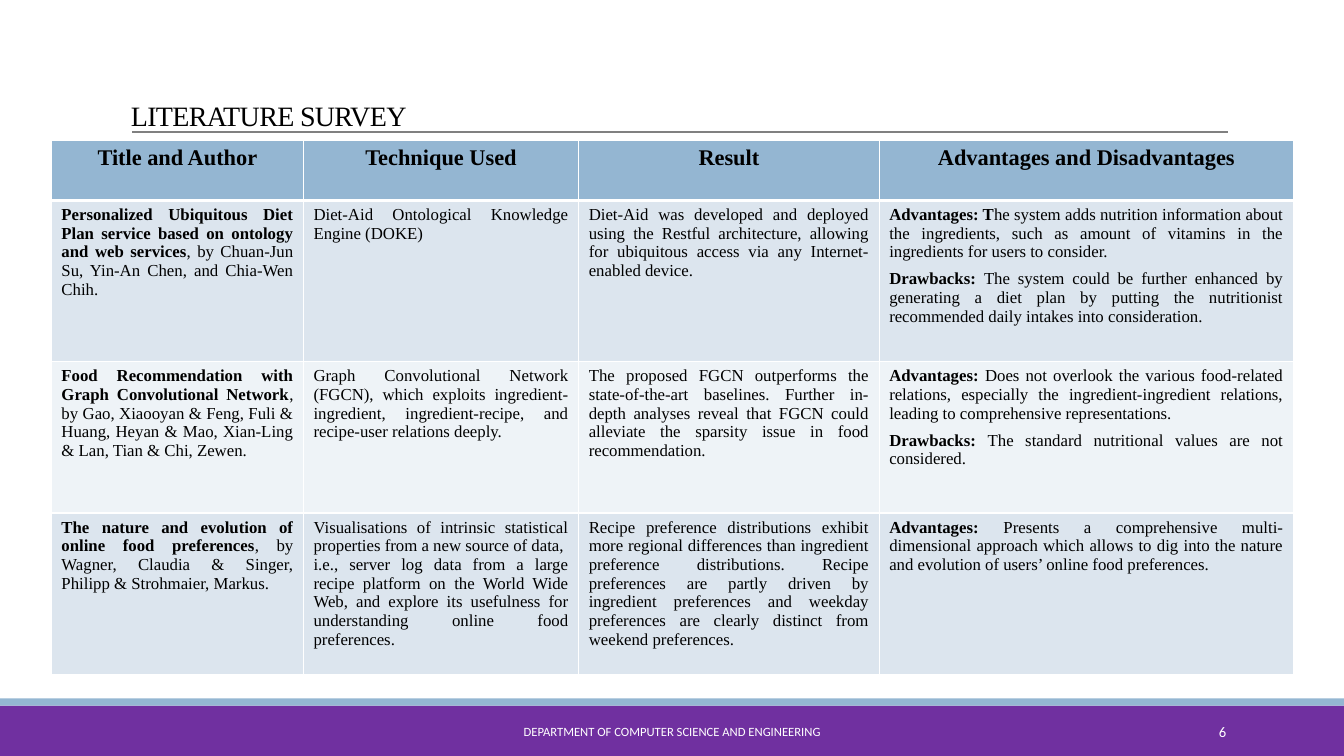
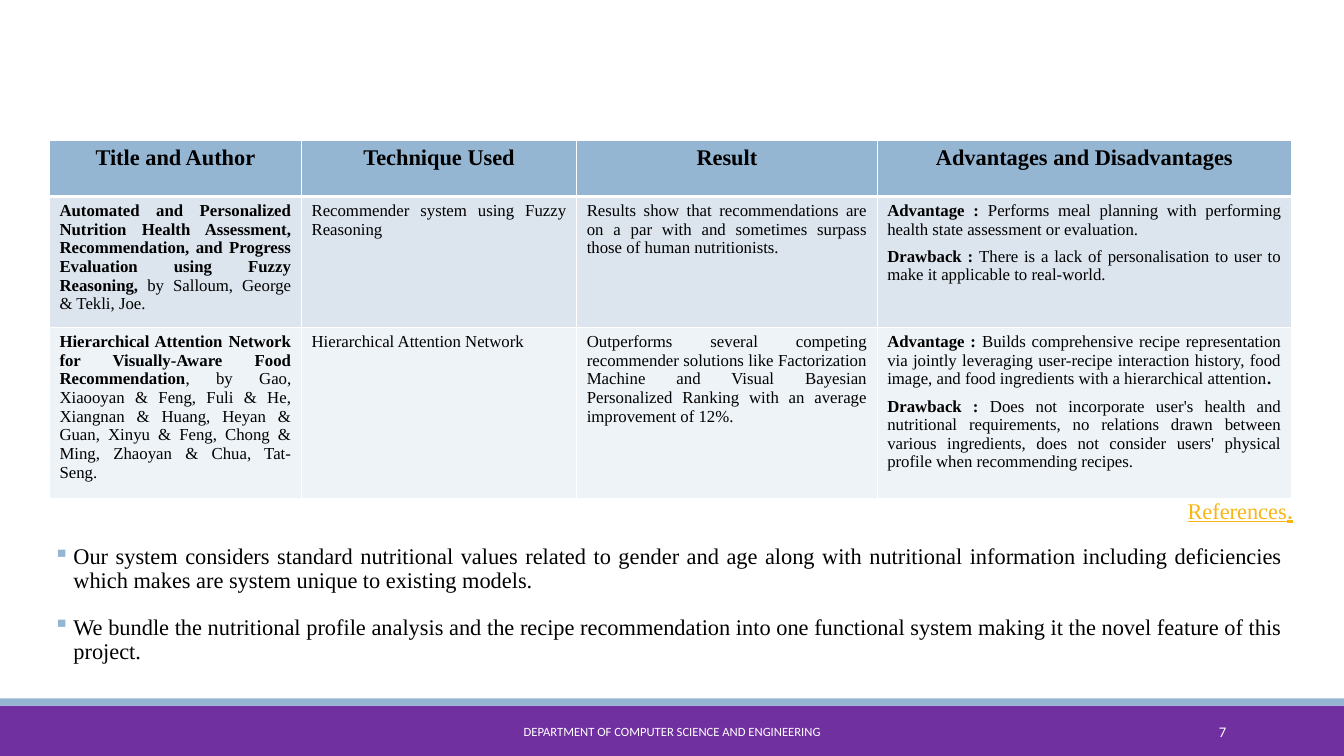
from lxml import etree
from pptx import Presentation
from pptx import util as u
from pptx.dml.color import RGBColor
from pptx.enum import shapes, text
from pptx.oxml import ns

W, H = 13.33, 7.5
COLORS = {
    "purple": "7030A0", "blue": "94B6D2", "grey": "808080",
    "band_dark": "DCE5EE", "band_light": "EEF3F7",
    "ink": "000000", "white": "FFFFFF", "gold": "F7B615",
}
SERIF, SANS = "Times New Roman", "Calibri"
ALIGN, ANCHOR = text.PP_ALIGN, text.MSO_ANCHOR
HEADERS = ["Title and Author", "Technique Used", "Result", "Advantages and Disadvantages"]
COLUMNS = [2.5, 2.73, 2.98, 4.11]

SURVEY_A = [
    ["**Personalized Ubiquitous Diet Plan service based on ontology and web services**, "
     "by Chuan-Jun Su, Yin-An Chen, and Chia-Wen Chih.",
     "Diet-Aid Ontological Knowledge Engine (DOKE)",
     "Diet-Aid was developed and deployed using the Restful architecture, allowing for "
     "ubiquitous access via any Internet-enabled device.",
     "**Advantages: T**he system adds nutrition information about the ingredients, such as "
     "amount of vitamins in the ingredients for users to consider.\n"
     "**Drawbacks: **The system could be further enhanced by generating a diet plan by putting "
     "the nutritionist recommended daily intakes into consideration."],
    ["**Food Recommendation with Graph Convolutional Network**, by Gao, Xiaooyan & Feng, Fuli "
     "& Huang, Heyan & Mao, Xian-Ling & Lan, Tian & Chi, Zewen.",
     "Graph Convolutional Network (FGCN), which exploits ingredient-ingredient, "
     "ingredient-recipe, and recipe-user relations deeply.",
     "The proposed FGCN outperforms the state-of-the-art baselines. Further in-depth analyses "
     "reveal that FGCN could alleviate the sparsity issue in food recommendation.",
     "**Advantages: **Does not overlook the various food-related relations, especially the "
     "ingredient-ingredient relations, leading to comprehensive representations.\n"
     "**Drawbacks: **The standard nutritional values are not considered."],
    ["**The nature and evolution of online food preferences**, by Wagner, Claudia & Singer, "
     "Philipp & Strohmaier, Markus.",
     "Visualisations of intrinsic statistical properties from a new source of data,\n"
     "i.e., server log data from a large recipe platform on the World Wide Web, and explore "
     "its usefulness for understanding online food preferences.",
     "Recipe preference distributions exhibit more regional differences than ingredient "
     "preference distributions. Recipe preferences are partly driven by ingredient preferences "
     "and weekday preferences are clearly distinct from weekend preferences.",
     "**Advantages: **Presents a comprehensive multi-dimensional approach which allows to dig "
     "into the nature and evolution of users’ online food preferences."],
]
SURVEY_B = [
    ["**Automated and Personalized Nutrition Health Assessment, Recommendation, and Progress "
     "Evaluation using Fuzzy Reasoning, **by Salloum, George & Tekli, Joe.",
     "Recommender system using Fuzzy Reasoning",
     "Results show that recommendations are on a par with and sometimes surpass those of human "
     "nutritionists.",
     "**Advantage : **Performs meal planning with performing health state assessment or "
     "evaluation.\n"
     "**Drawback : **There is a lack of personalisation to user to make it applicable to "
     "real-world."],
    ["**Hierarchical Attention Network for Visually-Aware Food Recommendation**, by Gao, "
     "Xiaooyan & Feng, Fuli & He, Xiangnan & Huang, Heyan & Guan, Xinyu & Feng, Chong & Ming, "
     "Zhaoyan & Chua, Tat-Seng.",
     "Hierarchical Attention Network",
     "Outperforms several competing recommender solutions like Factorization Machine and Visual "
     "Bayesian Personalized Ranking with an average improvement of 12%.",
     "**Advantage : **Builds comprehensive recipe representation via jointly leveraging "
     "user-recipe interaction history, food image, and food ingredients with a hierarchical "
     "attention**.**\n"
     "**Drawback : **Does not incorporate user's health and nutritional requirements, no "
     "relations drawn between various ingredients, does not consider users' physical profile "
     "when recommending recipes."],
]
NOVELTY = [
    "Our system considers standard nutritional values related to gender and age along with "
    "nutritional information including deficiencies which makes are system unique to existing "
    "models.",
    "We bundle the nutritional profile analysis and the recipe recommendation into one "
    "functional system making it the novel feature of this project.",
]


def rgb(key):
    return RGBColor.from_string(COLORS[key])


def assign(target, values):
    for name, value in values.items():
        setattr(target, name, value)


def inches(box):
    return [u.Inches(v) for v in box]


def add_run(p, words, size, color="ink", name=SERIF, **style):
    r = p.add_run()
    r.text = words
    assign(r.font, {"size": u.Pt(size), "name": name, **style})
    r.font.color.rgb = rgb(color)
    return r


def add_text(s, box, anchor=ANCHOR.TOP, **paragraph):
    tf = s.shapes.add_textbox(*inches(box)).text_frame
    assign(tf, {"word_wrap": True, "vertical_anchor": anchor})
    assign(tf.paragraphs[0], paragraph)
    return tf


def add_band(s, box, color):
    sp = s.shapes.add_shape(shapes.MSO_SHAPE.RECTANGLE, *inches(box))
    sp.shadow.inherit = False
    sp.fill.solid()
    sp.fill.fore_color.rgb = rgb(color)
    sp.line.fill.background()


def add_footer(s, box, number):
    left, top, width, height = box
    stripe = 0.07
    add_band(s, (left, top + stripe, width, height - stripe), "purple")
    add_band(s, (left, top, width, stripe), "blue")
    labels = [
        (4.03, 5.27, ALIGN.CENTER, "DEPARTMENT OF COMPUTER SCIENCE AND ENGINEERING", 9),
        (10.83, 1.43, ALIGN.RIGHT, str(number), 10.5),
    ]
    for x, label_width, align, words, size in labels:
        tf = add_text(s, (left + x, top + 0.13, label_width, 0.4), ANCHOR.MIDDLE, alignment=align)
        add_run(tf.paragraphs[0], words, size, "white", SANS)


def add_title(s, box, words):
    left, top, width, height = box
    tf = add_text(s, box, ANCHOR.BOTTOM, line_spacing=0.85)
    r = add_run(tf.paragraphs[0], words, 20)
    r.font._element.set("spc", "-50")
    y = top + height - 0.05
    rule = s.shapes.add_connector(
        shapes.MSO_CONNECTOR.STRAIGHT, *inches((left + 0.11, y, left + width - 0.02, y)))
    rule.line.width = u.Pt(1)
    rule.line.color.rgb = rgb("grey")
    etree.SubElement(rule._element.spPr, ns.qn("a:effectLst"))


def style_cell(cell, fill, bottom):
    tcPr = cell._tc.get_or_add_tcPr()
    for side, points in (("L", 1), ("R", 1), ("T", 1), ("B", bottom)):
        ln = etree.SubElement(tcPr, ns.qn("a:ln" + side), w=str(u.Pt(points)))
        solid = etree.SubElement(ln, ns.qn("a:solidFill"))
        etree.SubElement(solid, ns.qn("a:srgbClr"), val=COLORS["white"])
    cell.fill.solid()
    cell.fill.fore_color.rgb = rgb(fill)


def fill_cell(cell, words, size, align, gap):
    tf = cell.text_frame
    for i, line in enumerate(words.split("\n")):
        p = tf.add_paragraph() if i else tf.paragraphs[0]
        p.alignment = align
        if i and gap:
            p.space_before = u.Pt(gap)
        for k, part in enumerate(line.split("**")):
            if part:
                add_run(p, part, size, bold=k % 2 == 1)


def add_survey(s, corner, heights, records):
    rows = [[f"**{h}**" for h in HEADERS]] + records
    box = (*corner, sum(COLUMNS), sum(heights))
    table = s.shapes.add_table(len(rows), len(COLUMNS), *inches(box)).table
    for column, width in zip(table.columns, COLUMNS):
        column.width = u.Inches(width)
    for i, (row, height) in enumerate(zip(rows, heights)):
        table.rows[i].height = u.Inches(height)
        header = i == 0
        fill = "blue" if header else ("band_light", "band_dark")[i % 2]
        for j, words in enumerate(row):
            cell = table.cell(i, j)
            style_cell(cell, fill, 3 if header else 1)
            fill_cell(cell, words, 16 if header else 12,
                      ALIGN.CENTER if header else ALIGN.JUSTIFY,
                      6 if j == len(COLUMNS) - 1 else 0)


def add_bullets(s, box, items):
    tf = add_text(s, box)
    for i, words in enumerate(items):
        p = tf.add_paragraph() if i else tf.paragraphs[0]
        assign(p, {"alignment": ALIGN.JUSTIFY, "line_spacing": 0.9,
                   "space_before": u.Pt(12), "space_after": u.Pt(4)})
        pPr = p._p.get_or_add_pPr()
        pPr.set("marL", str(u.Inches(0.42)))
        pPr.set("indent", str(u.Inches(-0.2)))
        color = etree.SubElement(pPr, ns.qn("a:buClr"))
        etree.SubElement(color, ns.qn("a:srgbClr"), val=COLORS["blue"])
        etree.SubElement(pPr, ns.qn("a:buChar"), char="▪")
        add_run(p, words, 16)


def add_references(s, box):
    p = add_text(s, box).paragraphs[0]
    add_run(p, "References", 16, "gold", underline=True)
    add_run(p, ".", 18, "gold", SANS, underline=True)


def new_slide(prs, number):
    s = prs.slides.add_slide(prs.slide_layouts[6])
    add_footer(s, (0, 6.93, W, H - 6.93), number)
    return s


def main():
    prs = Presentation()
    assign(prs, {"slide_width": u.Inches(W), "slide_height": u.Inches(H)})

    s = new_slide(prs, 6)
    add_title(s, (1.2, 0.81, 11, 0.55), "LITERATURE SURVEY")
    add_survey(s, (0.51, 1.39), [0.6, 1.6, 1.5, 1.6], SURVEY_A)

    s = new_slide(prs, 7)
    add_survey(s, (0.49, 1.39), [0.56, 1.03, 1.49], SURVEY_B)
    add_bullets(s, (0.21, 5.36, 12.61, 1.29), NOVELTY)
    add_references(s, (11.68, 4.85, 1.31, 0.4))

    prs.save("out.pptx")


if __name__ == "__main__":
    main()
